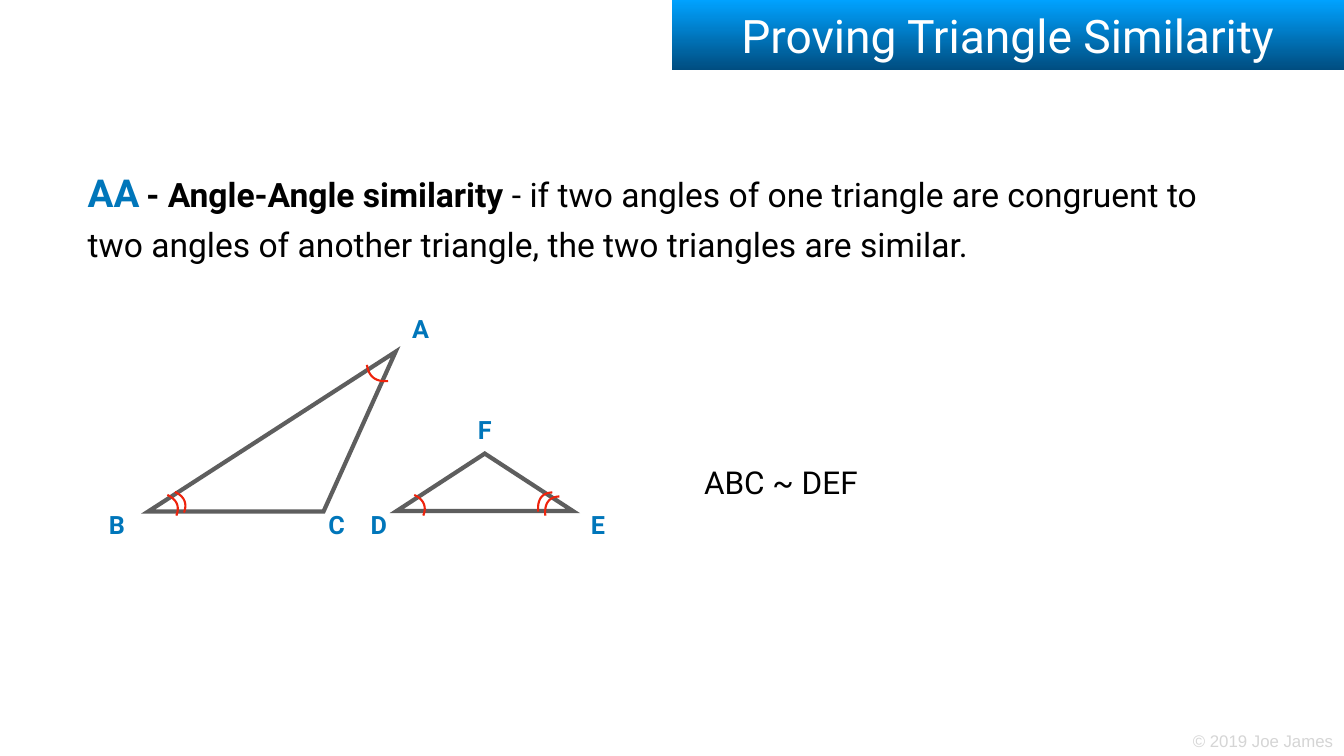
from lxml import etree
from pptx import Presentation
from pptx import util as u
from pptx.dml.color import RGBColor
from pptx.enum import shapes, text
from pptx.oxml.ns import qn

BLUE, GREY, RED = "0076BA", "5E5E5E", "EE230C"


def add_text(box, runs, wrap=False, align=None, anchor=text.MSO_ANCHOR.MIDDLE):
    """Write runs of (text, size, colour, bold, font) into one paragraph."""
    tf = box.text_frame
    tf.word_wrap = wrap
    tf.vertical_anchor = anchor
    tf.margin_left = tf.margin_right = tf.margin_top = tf.margin_bottom = u.Inches(0.06)
    p = tf.paragraphs[0]
    p.alignment = align
    for words, size, color, bold, font in runs:
        r = p.add_run()
        r.text = words
        r.font.size, r.font.bold, r.font.name = u.Pt(size), bold, font
        r.font.color.rgb = RGBColor.from_string(color)
    return p


def add_outline(points, color, width, fill=None):
    """Draw a line through points in inches, closed when it has a fill."""
    pts = [(u.Inches(x), u.Inches(y)) for x, y in points]
    fb = s.shapes.build_freeform(*pts[0], scale=1.0)
    fb.add_line_segments(pts[1:], close=fill is not None)
    sp = fb.convert_to_shape()
    sp.shadow.inherit = False
    if fill:
        sp.fill.solid()
        sp.fill.fore_color.rgb = RGBColor.from_string(fill)
    else:
        sp.fill.background()
    sp.line.color.rgb = RGBColor.from_string(color)
    sp.line.width = u.Pt(width)
    etree.SubElement(sp.line._get_or_add_ln(), qn("a:miter"), lim="400000")


prs = Presentation()
prs.slide_width, prs.slide_height = u.Inches(26.67), u.Inches(15)
s = prs.slides.add_slide(prs.slide_layouts[6])
center = text.PP_ALIGN.CENTER

# Copyright line
box = s.shapes.add_textbox(*map(u.Inches, (23.61, 14.45, 2.91, 0.49)))
add_text(box, [("© 2019 Joe James", 24, "D5D5D5", False, "Arial")])

# Title banner
sp = s.shapes.add_shape(shapes.MSO_SHAPE.RECTANGLE,
                        *map(u.Inches, (13.33, 0, 13.34, 1.39)))
sp.shadow.inherit = False
sp.line.fill.background()
sp.fill.gradient()
sp.fill.gradient_angle = 270
for stop, position, color in zip(sp.fill.gradient_stops, (0, 1), ("00A2FF", "004D80")):
    stop.position = position
    stop.color.rgb = RGBColor.from_string(color)
add_text(sp, [("Proving Triangle Similarity", 66, "FFFFFF", False, "Roboto")],
         wrap=True, align=center)

# Theorem
box = s.shapes.add_textbox(*map(u.Inches, (1.68, 3.12, 22.97, 2.01)))
p = add_text(box, [
    ("AA", 55, BLUE, True, "Roboto"),
    (" ", 40, BLUE, True, "Roboto"),
    ("- Angle-Angle similarity ", 48, "000000", True, "Roboto"),
    ("- if two angles of one triangle are congruent to two angles of another "
     "triangle, the two triangles are similar.", 48, "000000", False, "Roboto"),
], wrap=True, anchor=text.MSO_ANCHOR.TOP)
p.line_spacing = 1.2

# Similarity statement
box = s.shapes.add_textbox(*map(u.Inches, (13.84, 9.15, 3.31, 0.84)))
add_text(box, [("ABC ~ DEF", 45, "000000", False, "Roboto")], align=center)

# Vertex labels: letter, left, top, width
for letter, left, top, width in [
    ("A", 8.11, 6.17, 0.47), ("B", 2.08, 10.05, 0.48), ("C", 6.43, 10.05, 0.5),
    ("D", 7.27, 10.05, 0.5), ("E", 11.64, 10.05, 0.45), ("F", 9.41, 8.17, 0.42),
]:
    box = s.shapes.add_textbox(*map(u.Inches, (left, top, width, 0.71)))
    add_text(box, [(letter, 36, BLUE, True, "Roboto")], align=center)

# Triangles DEF and ABC
add_outline([(9.62, 9), (11.37, 10.14), (7.87, 10.14)], GREY, 6, "FFFFFF")
add_outline([(6.42, 10.15), (2.94, 10.15), (7.85, 6.98)], GREY, 6, "FFFFFF")

# Angle marks: Bezier control points relative to the start, and the starts
top_mark = [(0, 0), (0.04, 0.24), (0.18, 0.34), (0.42, 0.32)]
left_mark = [(0, 0), (0.07, -0.18), (0.01, -0.32), (-0.18, -0.41)]
right_mark = [(0, 0), (-0.21, 0.01), (-0.3, 0.14), (-0.28, 0.38)]
STEPS = 16
for curve, starts in [
    (top_mark, [(7.28, 7.24)]),
    (left_mark, [(8.4, 10.23), (3.5, 10.23), (3.65, 10.17)]),
    (right_mark, [(11.1, 9.85), (10.96, 9.77)]),
]:
    for x, y in starts:
        points = []
        for i in range(STEPS + 1):
            t = i / STEPS
            weights = ((1 - t) ** 3, 3 * t * (1 - t) ** 2, 3 * t * t * (1 - t), t ** 3)
            points.append((x + sum(w * c[0] for w, c in zip(weights, curve)),
                           y + sum(w * c[1] for w, c in zip(weights, curve))))
        add_outline(points, RED, 3)

prs.save("out.pptx")
